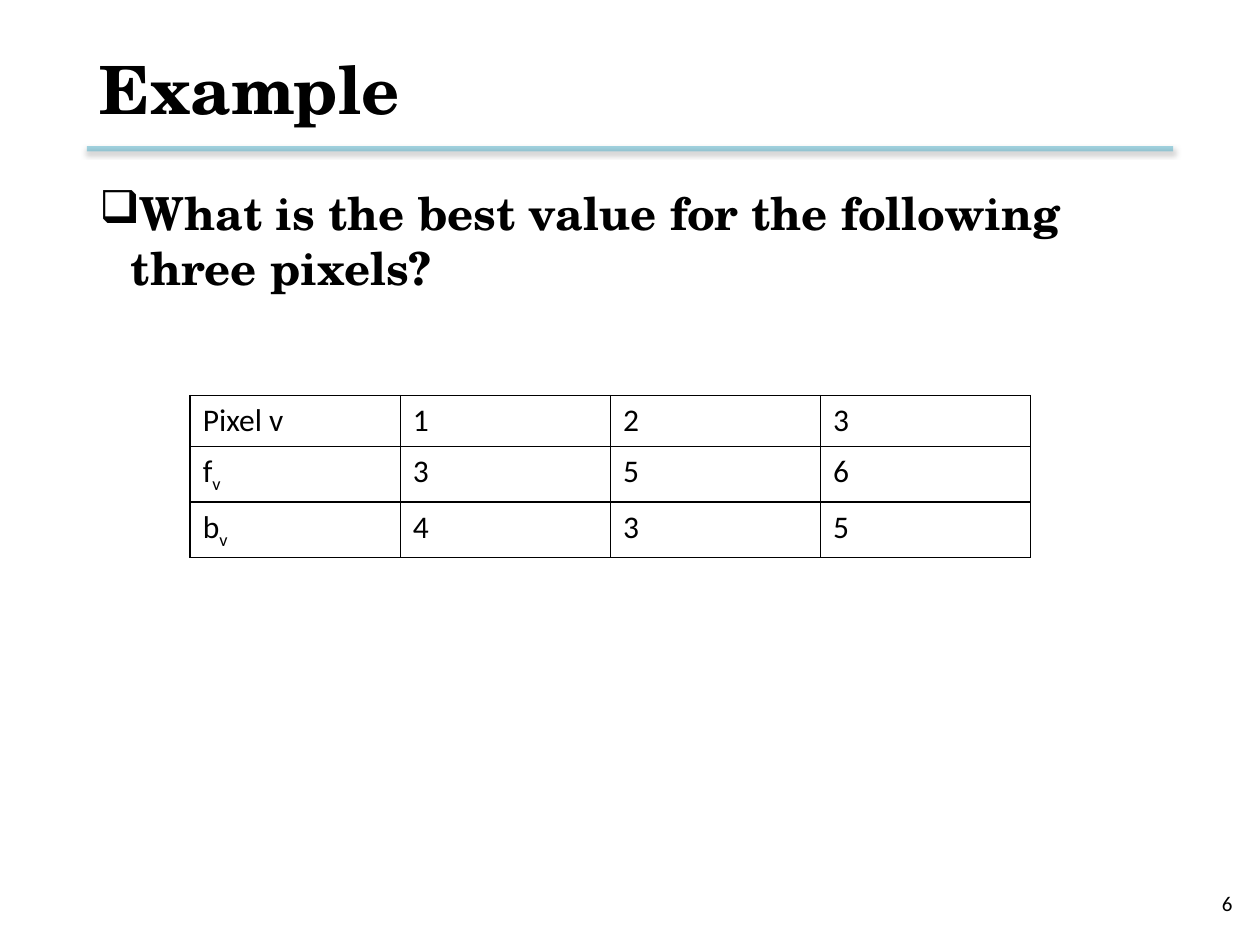
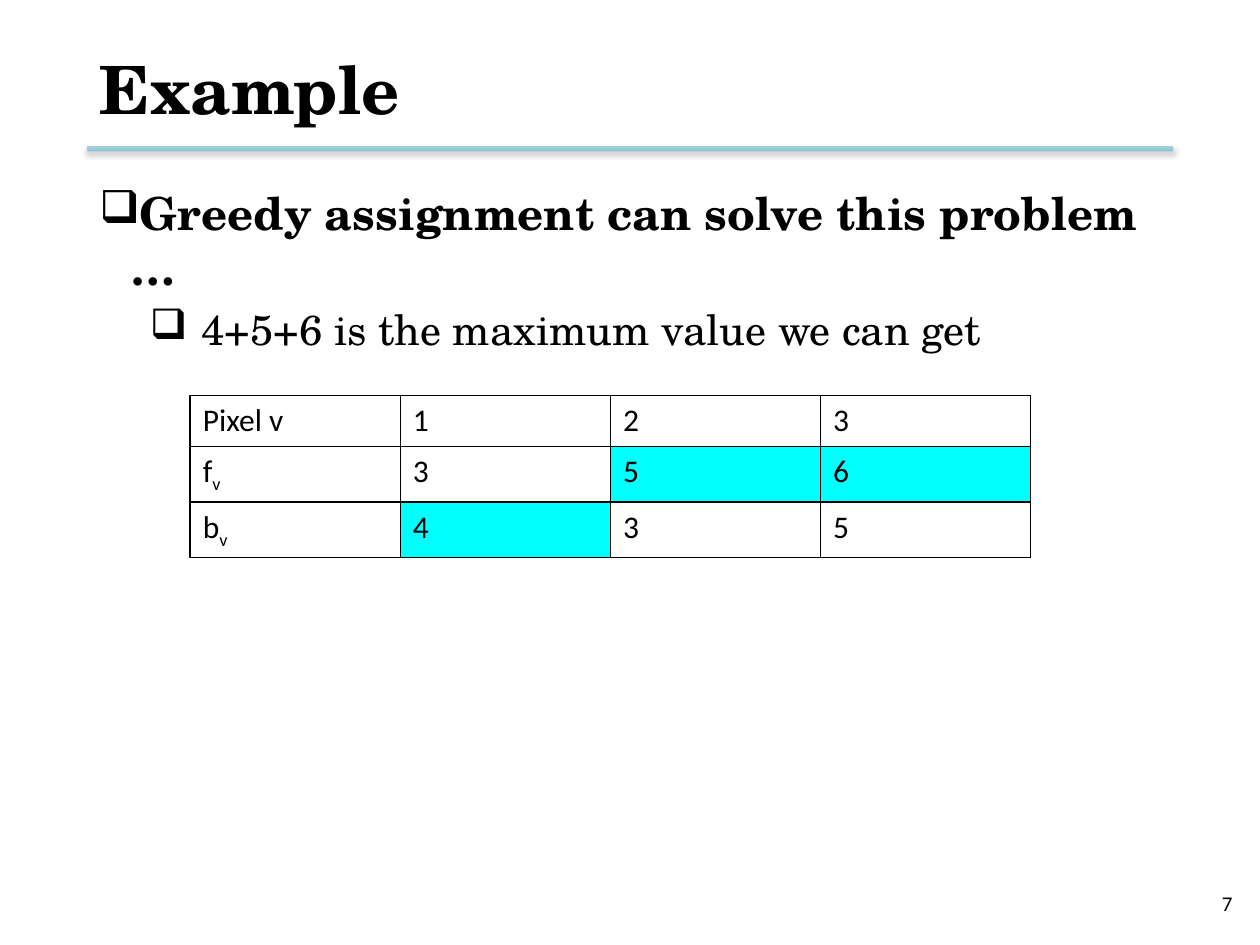
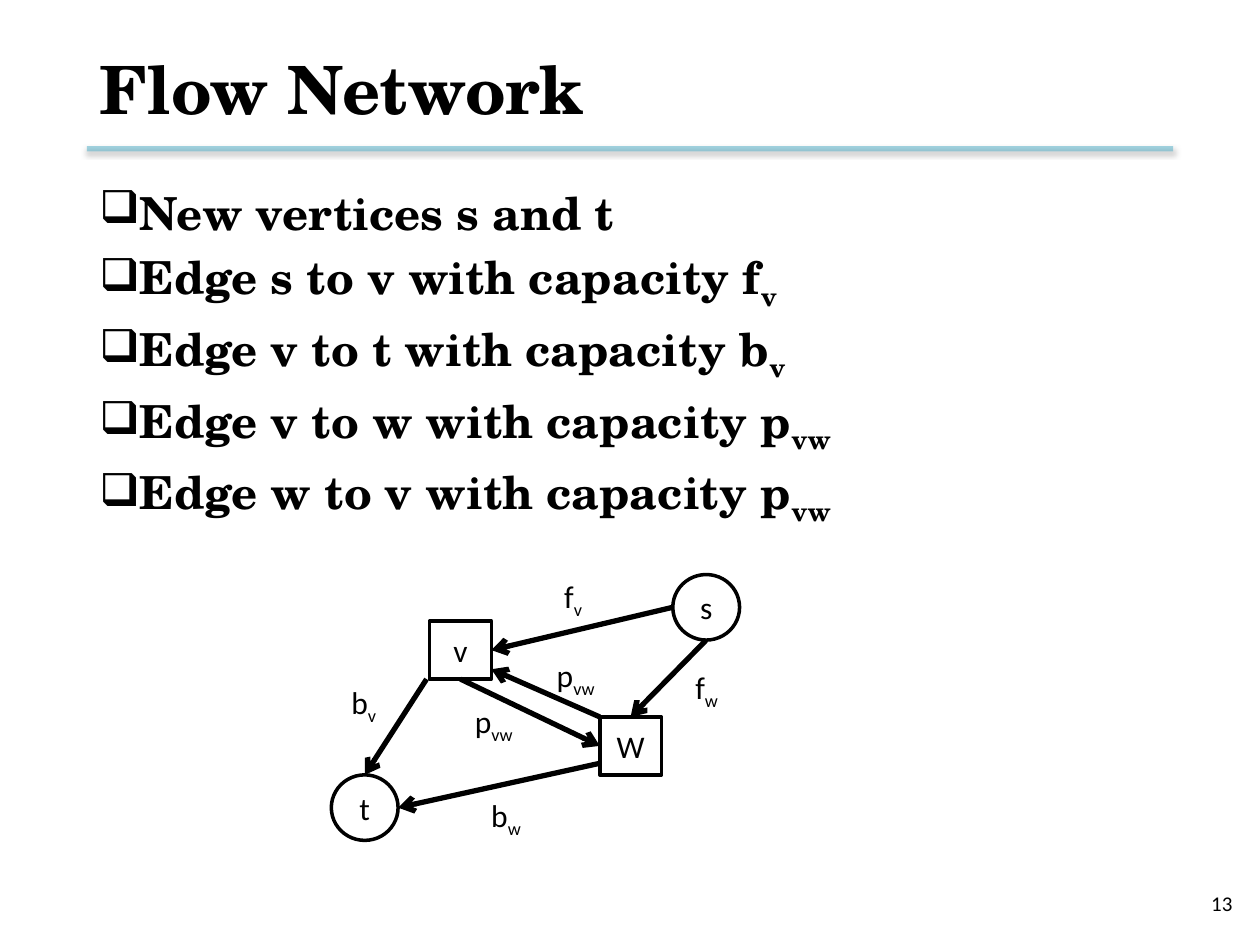
from lxml import etree
from pptx import Presentation
from pptx.dml.color import RGBColor
from pptx.enum.shapes import MSO_CONNECTOR, MSO_SHAPE
from pptx.enum.text import MSO_ANCHOR, PP_ALIGN
from pptx.oxml.ns import qn
from pptx.util import Inches, Pt

STRAIGHT = MSO_CONNECTOR.STRAIGHT
SQUARE, CIRCLE = MSO_SHAPE.RECTANGLE, MSO_SHAPE.OVAL
MIDDLE = MSO_ANCHOR.MIDDLE
LEFT, CENTER, RIGHT = PP_ALIGN.LEFT, PP_ALIGN.CENTER, PP_ALIGN.RIGHT

COLORS = {"ink": "000000", "paper": "FFFFFF", "rule": "4BACC6", "chosen": "00FFFF"}
SERIF, SANS = "TeX Gyre Schola", "Calibri"
MARGIN, CONTENT_WIDTH = 0.69, 8.62
BULLET_LEVELS = [  # left margin, first-line indent, size, bold
    (0.25, -0.45, 26, True),
    (0.81, -0.41, 24, False),
]

# "_" starts a subscript that runs to the end of the text
PIXEL_VALUES = [
    ["Pixel v", "1", "2", "3"],
    ["f_v", "3", "5", "6"],
    ["b_v", "4", "3", "5"],
]
GREEDY_CHOICE = {(1, 2), (1, 3), (2, 1)}

SLIDES = [
    {
        "title": "Example", "number": 6, "body_height": 5.1,
        "bullets": [(0, "What is the best value for the following three pixels?")],
        "chosen_cells": set(),
    },
    {
        "title": "Example", "number": 7, "body_height": 5.1,
        "bullets": [
            (0, "Greedy assignment can solve this problem …"),
            (1, "4+5+6 is the maximum value we can get"),
        ],
        "chosen_cells": GREEDY_CHOICE,
    },
    {
        "title": "Flow Network", "number": 13, "body_height": 2.86,
        "bullets": [
            (0, "New vertices s and t"),
            (0, "Edge s to v with capacity f_v"),
            (0, "Edge v to t with capacity b_v"),
            (0, "Edge v to w with capacity p_vw"),
            (0, "Edge w to v with capacity p_vw"),
        ],
    },
]

VERTEX_SIZE = {SQUARE: (0.49, 0.46), CIRCLE: (0.53, 0.52)}
VERTICES = {
    "v": (SQUARE, 3.41, 4.93),
    "W": (SQUARE, 4.76, 5.69),
    "s": (CIRCLE, 5.34, 4.56),
    "t": (CIRCLE, 2.63, 6.15),
}
# each end: vertex, then the share of its width and height
EDGES = [
    (("v", -0.05, 1), ("t", 0.5, 0)),
    (("W", 0, 0.8), ("t", 1, 0.5)),
    (("s", 0, 0.5), ("v", 1, 0.5)),
    (("s", 0.5, 1), ("W", 0.5, 0)),
    (("v", 0.5, 1), ("W", 0, 0.5)),
    (("W", 0, 0), ("v", 1, 0.83)),
]
CAPACITIES = [
    ("f_w", 5.42, 5.25, 0.4), ("f_v", 4.38, 4.53, 0.36),
    ("b_w", 3.8, 6.27, 0.45), ("b_v", 2.69, 5.37, 0.41),
    ("p_vw", 4.32, 5.16, 0.53), ("p_vw", 3.67, 5.52, 0.53),
]


def rgb(name):
    return RGBColor.from_string(COLORS[name])


def add_xml(parent, tag, **attributes):
    return etree.SubElement(parent, qn(tag), {k: str(v) for k, v in attributes.items()})


def write(paragraph, text, size, font=SANS, bold=False, align=LEFT):
    base, _, subscript = text.partition("_")
    paragraph.alignment = align
    for part, offset in ((base, 0), (subscript, -25000)):
        if not part:
            continue
        run = paragraph.add_run()
        run.text = part
        run.font.size, run.font.name, run.font.bold = Pt(size), font, bold
        run.font.color.rgb = rgb("ink")
        if offset:
            run._r.get_or_add_rPr().set("baseline", str(offset))


def add_box(slide, left, top, width, height, wrap=True):
    frame = slide.shapes.add_textbox(*map(Inches, (left, top, width, height))).text_frame
    frame.word_wrap = wrap
    return frame


def add_line(slide, start, end, color):
    """Draw a 3 pt line; return its line element and its empty effect list."""
    line = slide.shapes.add_connector(STRAIGHT, *map(Inches, (*start, *end)))
    line.line.color.rgb = rgb(color)
    line.line.width = Pt(3)
    properties = line._element.spPr
    return properties.find(qn("a:ln")), add_xml(properties, "a:effectLst")


def add_frame(slide, title, number):
    """Add the parts every slide has: rule, page number and title."""
    outline, effects = add_line(slide, (MARGIN, 1.18), (MARGIN + CONTENT_WIDTH, 1.18), "rule")
    add_xml(outline.find(".//" + qn("a:srgbClr")), "a:alpha", val=50000)
    shadow = add_xml(effects, "a:outerShdw", blurRad=Pt(3.1), dist=Pt(1.6),
                     dir=5400000, rotWithShape=0)
    shadow_color = add_xml(shadow, "a:srgbClr", val=COLORS["ink"])
    add_xml(shadow_color, "a:alpha", val=38000)

    page = add_box(slide, 7.55, 6.97, 2.33, 0.4)
    page.vertical_anchor = MIDDLE
    write(page.paragraphs[0], str(number), 12, align=RIGHT)

    heading = slide.shapes.title
    heading.left, heading.top = Inches(MARGIN), Inches(0.17)
    heading.width, heading.height = Inches(CONTENT_WIDTH), Inches(1.06)
    heading.text_frame.vertical_anchor = MIDDLE
    write(heading.text_frame.paragraphs[0], title, 38, SERIF, True)


def add_bullets(slide, bullets, height):
    body = add_box(slide, MARGIN, 1.42, CONTENT_WIDTH, height)
    for index, (level, text) in enumerate(bullets):
        paragraph = body.add_paragraph() if index else body.paragraphs[0]
        margin, indent, size, bold = BULLET_LEVELS[level]
        paragraph.level = level
        if index:
            paragraph.space_before = Pt(5.5)
        properties = paragraph._p.get_or_add_pPr()
        properties.set("marL", str(Inches(margin)))
        properties.set("indent", str(Inches(indent)))
        add_xml(properties, "a:buChar", char="❑")
        write(paragraph, text, size, SERIF, bold)


def add_pixel_table(slide, chosen_cells):
    rows, columns = len(PIXEL_VALUES), len(PIXEL_VALUES[0])
    table = slide.shapes.add_table(
        rows, columns, *map(Inches, (1.51, 3.14, 6.67, 1.21))).table
    table.first_row = table.horz_banding = False
    for row, values in enumerate(PIXEL_VALUES):
        for column, value in enumerate(values):
            cell = table.cell(row, column)
            write(cell.text_frame.paragraphs[0], value, 18)
            properties = cell._tc.get_or_add_tcPr()
            for side in ("a:lnL", "a:lnR", "a:lnT", "a:lnB"):
                border = add_xml(properties, side, w=Pt(1))
                add_xml(add_xml(border, "a:solidFill"), "a:srgbClr", val=COLORS["ink"])
            cell.fill.solid()
            is_chosen = (row, column) in chosen_cells
            cell.fill.fore_color.rgb = rgb("chosen" if is_chosen else "paper")


def edge_end(vertex, across, down):
    outline, left, top = VERTICES[vertex]
    width, height = VERTEX_SIZE[outline]
    return left + across * width, top + down * height


def add_flow_network(slide):
    for name, (outline, left, top) in VERTICES.items():
        vertex = slide.shapes.add_shape(
            outline, *map(Inches, (left, top, *VERTEX_SIZE[outline])))
        vertex.shadow.inherit = False
        vertex.fill.solid()
        vertex.fill.fore_color.rgb = rgb("paper")
        vertex.line.color.rgb = rgb("ink")
        vertex.line.width = Pt(2)
        vertex.text_frame.vertical_anchor = MIDDLE
        write(vertex.text_frame.paragraphs[0], name, 18, align=CENTER)
    for start, end in EDGES:
        outline, _ = add_line(slide, edge_end(*start), edge_end(*end), "ink")
        add_xml(outline, "a:tailEnd", type="arrow")
    for capacity, left, top, width in CAPACITIES:
        label = add_box(slide, left, top, width, 0.4, wrap=False)
        write(label.paragraphs[0], capacity, 18)


def main():
    deck = Presentation()
    deck.slide_width, deck.slide_height = Inches(10), Inches(7.5)
    title_only = deck.slide_layouts[5]
    for content in SLIDES:
        slide = deck.slides.add_slide(title_only)
        add_frame(slide, content["title"], content["number"])
        add_bullets(slide, content["bullets"], content["body_height"])
        if "chosen_cells" in content:
            add_pixel_table(slide, content["chosen_cells"])
        else:
            add_flow_network(slide)
    deck.save("out.pptx")


if __name__ == "__main__":
    main()
